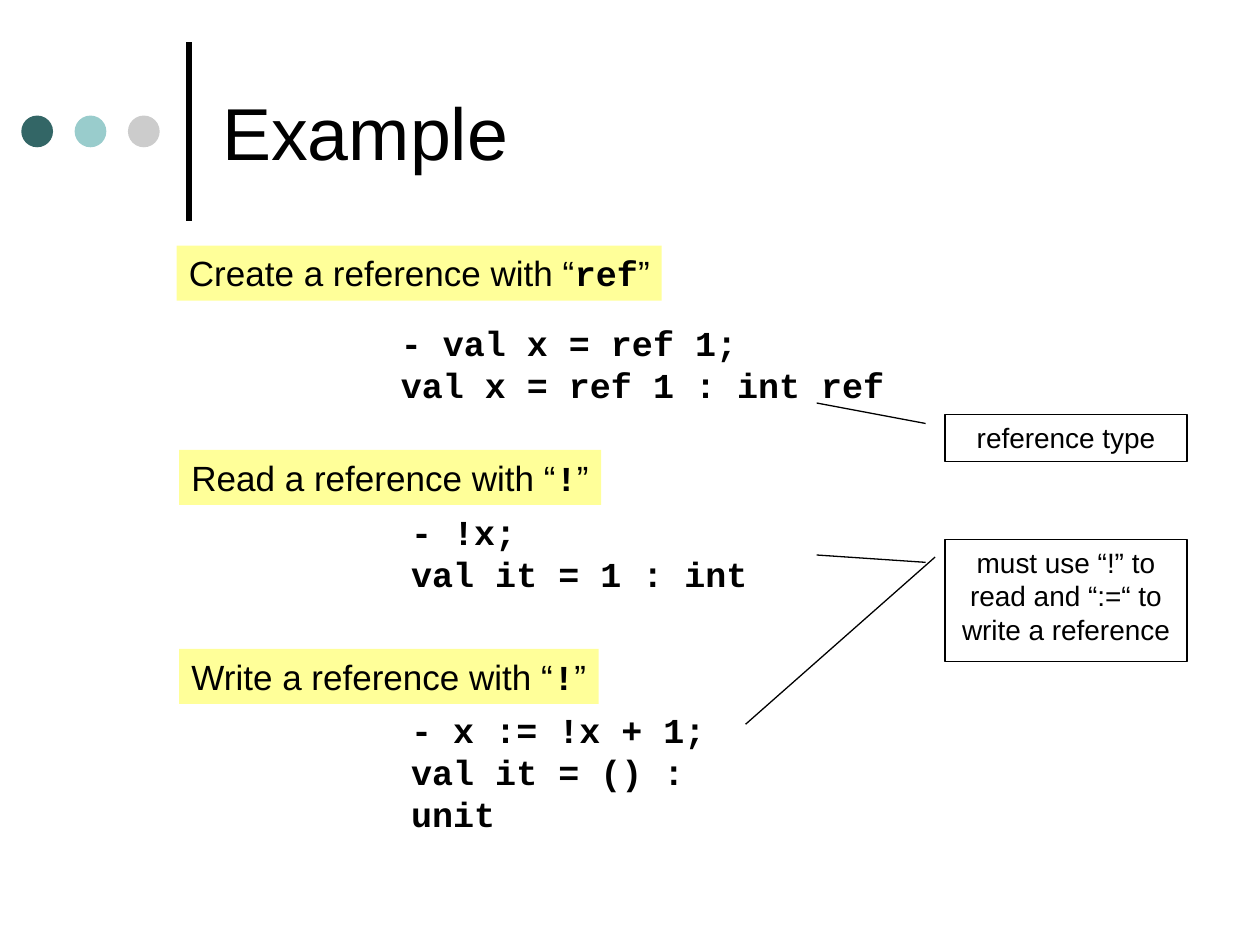
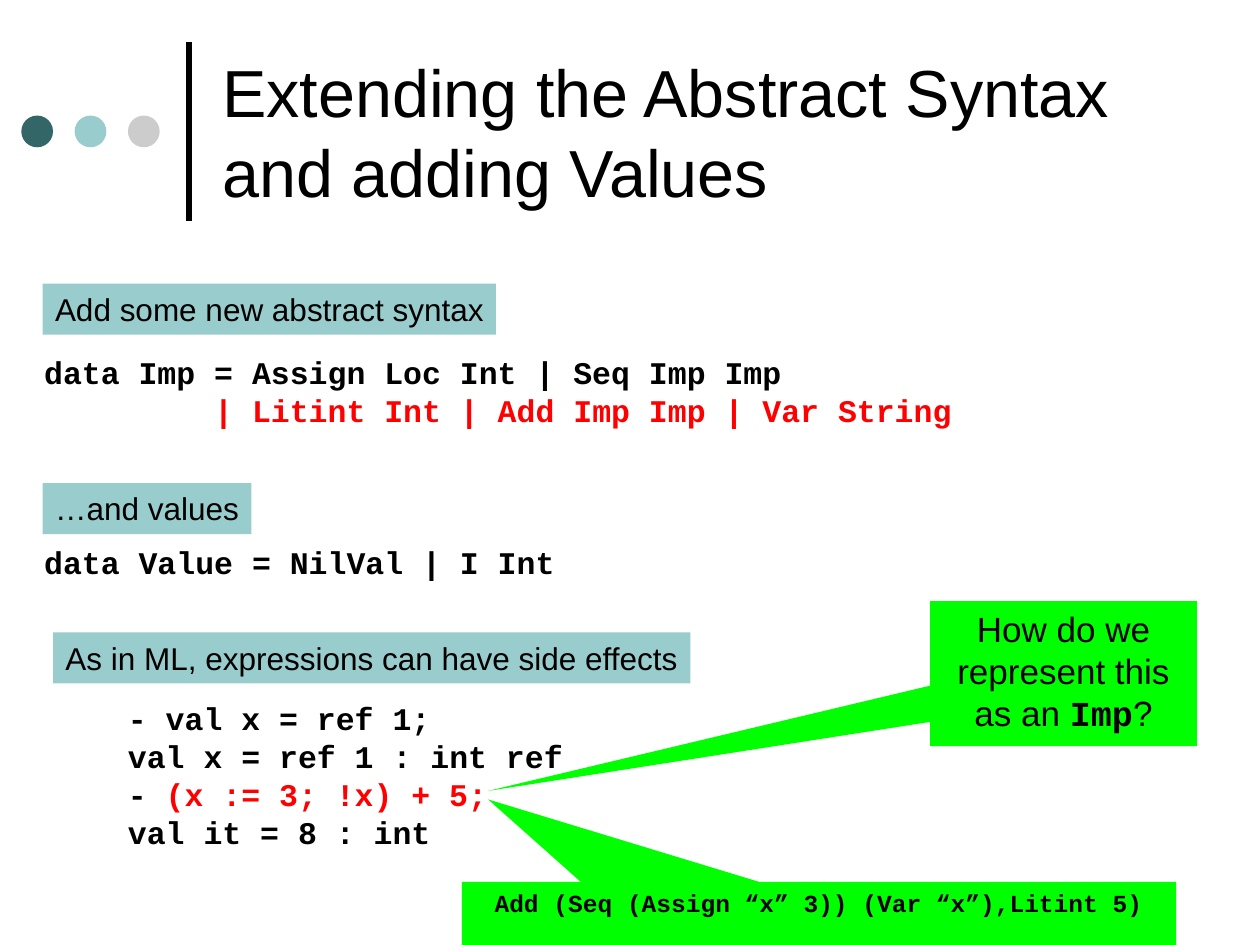
from pptx import Presentation
from pptx.dml.color import RGBColor
from pptx.enum.shapes import MSO_CONNECTOR, MSO_SHAPE
from pptx.enum.text import MSO_ANCHOR, PP_ALIGN
from pptx.oxml.ns import qn
from pptx.util import Cm, Pt
from lxml import etree

BLACK = RGBColor(0x00, 0x00, 0x00)
RED = RGBColor(0xFF, 0x00, 0x00)
TEAL = RGBColor(0x33, 0x66, 0x66)
AQUA = RGBColor(0x99, 0xCC, 0xCC)
GREY = RGBColor(0xCC, 0xCC, 0xCC)
YELLOW = RGBColor(0xFF, 0xFF, 0x99)
GREEN = RGBColor(0x00, 0xFF, 0x00)

# Run styles: font, bold, colour
PLAIN = ("Arial", False, BLACK)
CODE = ("Courier New", True, BLACK)
RED_CODE = ("Courier New", True, RED)


def add_box(s, box, lines, size, kind=None, fill=None, wrap=False,
            align=PP_ALIGN.LEFT, anchor=MSO_ANCHOR.TOP):
    """Add a text box, or a shape if kind is given; lines are lists of (text, style)."""
    box = [Cm(v) for v in box]
    if kind is None:
        sp = s.shapes.add_textbox(*box)
    else:
        sp = s.shapes.add_shape(kind, *box)
        sp.shadow.inherit = False
        sp.line.fill.background()
        sp.fill.background()
    if fill is not None:
        sp.fill.solid()
        sp.fill.fore_color.rgb = fill
    tf = sp.text_frame
    tf.word_wrap = wrap
    tf.vertical_anchor = anchor
    for i, line in enumerate(lines):
        p = tf.paragraphs[0] if i == 0 else tf.add_paragraph()
        p.alignment = align
        for text, (font, bold, color) in line:
            r = p.add_run()
            r.text = text
            r.font.name, r.font.bold, r.font.size = font, bold, Pt(size)
            r.font.color.rgb = color
    return sp


def add_line(s, x1, y1, x2, y2, width):
    ln = s.shapes.add_connector(MSO_CONNECTOR.STRAIGHT, Cm(x1), Cm(y1), Cm(x2), Cm(y2))
    ln.line.color.rgb = BLACK
    ln.line.width = Pt(width)
    etree.SubElement(ln._element.spPr, qn("a:effectLst"))


prs = Presentation()
prs.slide_width, prs.slide_height = Cm(25.4), Cm(19.05)

# Shared title, bar and dots
slides = []
for title, size in [("Example", 42),
                    ("Extending the Abstract Syntax and adding Values", 38)]:
    s = prs.slides.add_slide(prs.slide_layouts[6])
    add_line(s, 3.81, 4.45, 3.81, 0.85, 3)
    for i, color in enumerate([TEAL, AQUA, GREY]):
        add_box(s, (0.43 + 1.075 * i, 2.33, 0.64, 0.64), [], size, MSO_SHAPE.OVAL, color)
    add_box(s, (4.23, 0.53, 19.48, 4.23), [[(title, PLAIN)]], size,
            wrap=True, anchor=MSO_ANCHOR.MIDDLE)
    slides.append(s)

# Slide 1: create, read and write a reference
s = slides[0]
for x, y, w, verb, keyword in [(3.56, 4.95, 9.78, "Create", "ref"),
                               (3.61, 9.07, 8.51, "Read", "!"),
                               (3.61, 13.08, 8.46, "Write", "!")]:
    heading = [(f"{verb} a reference with “", PLAIN), (keyword, CODE), ("”", PLAIN)]
    add_box(s, (x, y, w, 1.11), [heading], 20, MSO_SHAPE.RECTANGLE, YELLOW)

for x, y, w, code in [(7.83, 6.35, 10.26, ["- val x = ref 1;", "val x = ref 1 : int ref"]),
                      (8.04, 10.16, 7.29, ["- !x;", "val it = 1 : int"]),
                      (8.04, 14.15, 8.13, ["- x := !x + 1;", "val it = () : unit"])]:
    add_box(s, (x, y, w, 1.96), [[(line, CODE)] for line in code], 20)

for y, h, pointer_y, note in [
        (8.36, 0.94, -0.25, "reference type"),
        (10.87, 2.46, 0.13, "must use “!” to read and “:=“ to write a reference")]:
    sp = add_box(s, (19.05, y, 4.88, h), [[(note, PLAIN)]], 16,
                 MSO_SHAPE.LINE_CALLOUT_1, wrap=True, align=PP_ALIGN.CENTER)
    sp.line.color.rgb = BLACK
    sp.line.width = Pt(0.75)
    for i, value in enumerate([0.19, -0.08, pointer_y, -0.53]):
        sp.adjustments[i] = value
add_line(s, 15.03, 14.6, 18.85, 11.23, 0.75)

# Slide 2: syntax, values and side effects
s = slides[1]
for x, y, w, heading in [(0.86, 5.72, 9.14, "Add some new abstract syntax"),
                         (0.86, 9.74, 4.21, "…and values"),
                         (1.07, 12.75, 12.85, "As in ML, expressions can have side effects")]:
    add_box(s, (x, y, w, 1.03), [[(heading, PLAIN)]], 18, MSO_SHAPE.RECTANGLE, AQUA)

sp = add_box(s, (0.64, 6.99, 18.8, 1.8),
             [[("data Imp = Assign Loc Int | Seq Imp Imp", CODE)],
              [("| Litint Int | Add Imp Imp | Var String", RED_CODE)]], 18)
# Indent the second line by nine characters, to stand under the "="
sp.text_frame.paragraphs[1]._p.get_or_add_pPr().set("marL", str(Cm(3.43)))
add_box(s, (0.64, 10.82, 10.8, 1.03), [[("data Value = NilVal | I Int", CODE)]], 18)
add_box(s, (2.33, 13.97, 9.27, 3.3),
        [[("- val x = ref 1;", CODE)],
         [("val x = ref 1 : int ref", CODE)],
         [("- ", CODE), ("(x := 3; !x) + 5;", RED_CODE)],
         [("val it = 8 : int", CODE)]], 18)

question = [("How do we represent this as an ", PLAIN), ("Imp", CODE), ("?", PLAIN)]
answer = [("Add (Seq (Assign “x” 3)) (Var “x”),Litint 5)", CODE)]
for box, line, size, tip in [((9.31, 17.78, 14.4, 1.27), answer, 14, (-0.463, -1.81)),
                             ((18.75, 12.12, 5.38, 2.92), question, 20, (-2.157, 0.81))]:
    sp = add_box(s, box, [line], size, MSO_SHAPE.RECTANGULAR_CALLOUT, GREEN,
                 wrap=True, align=PP_ALIGN.CENTER)
    sp.adjustments[0], sp.adjustments[1] = tip

prs.save("out.pptx")
